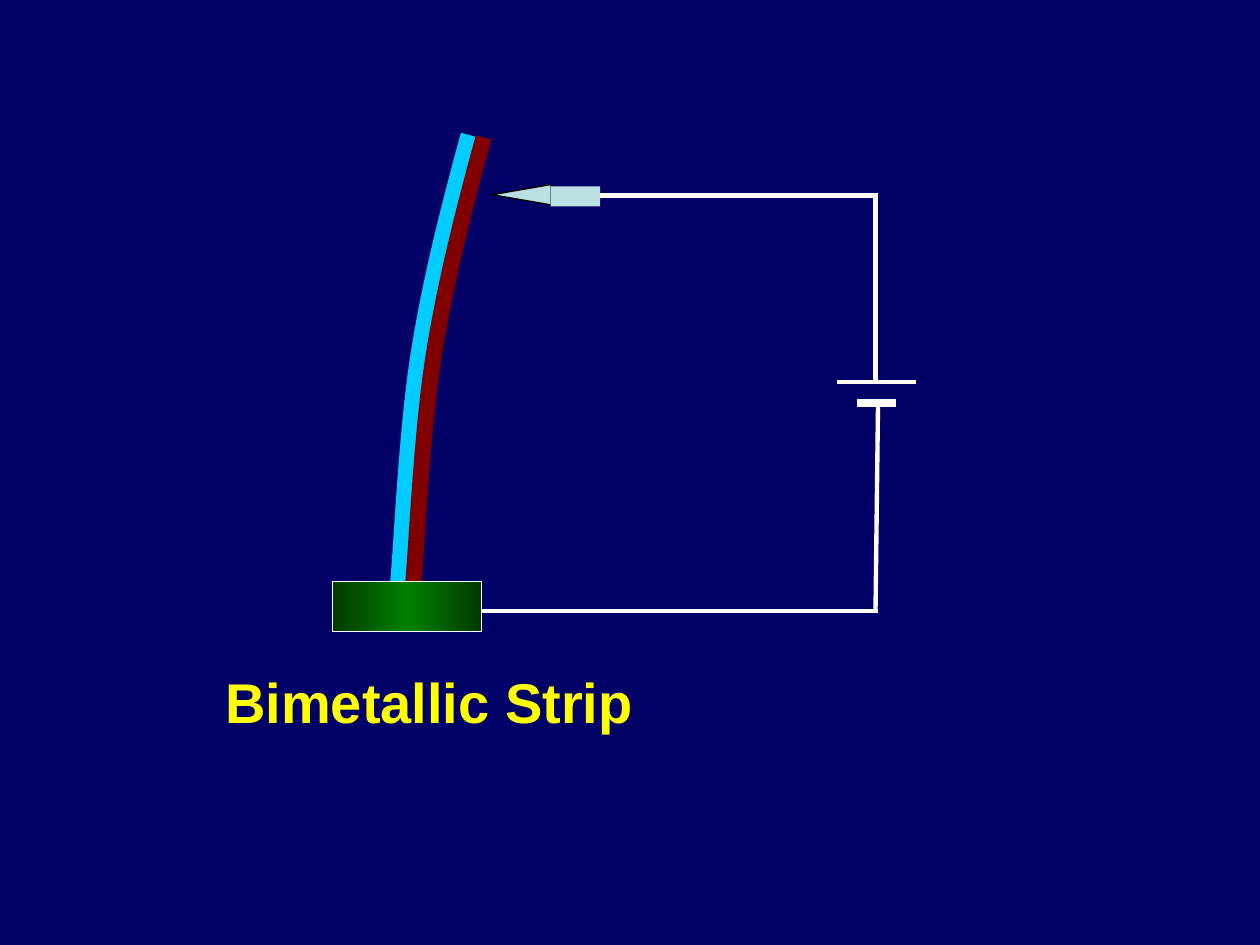
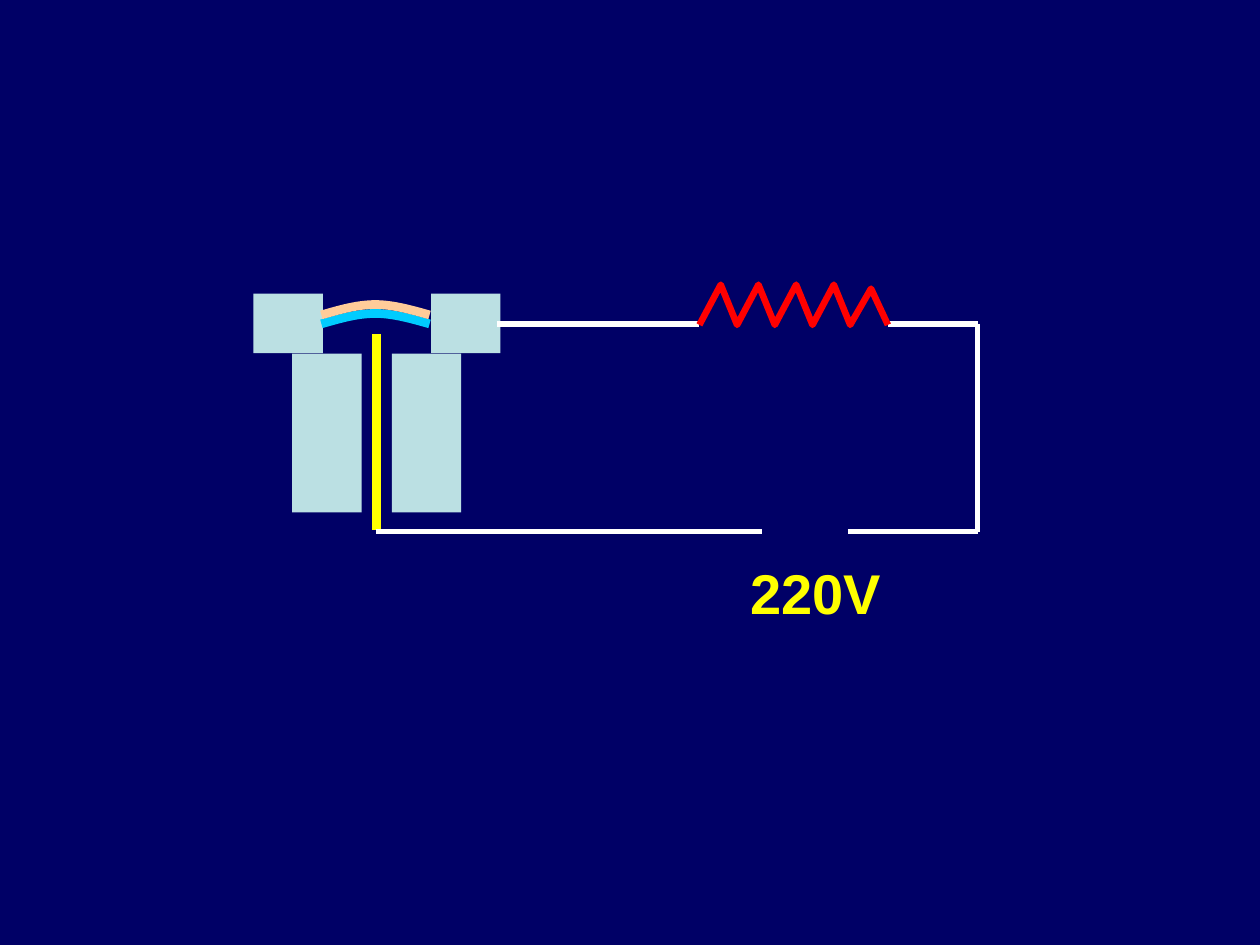
import copy
import itertools

import lxml.etree
import pptx
import pptx.dml.color
import pptx.enum.shapes
import pptx.enum.text
import pptx.oxml.ns
import pptx.util

Cm = pptx.util.Cm
Pt = pptx.util.Pt
qn = pptx.oxml.ns.qn
RECTANGLE = pptx.enum.shapes.MSO_SHAPE.RECTANGLE
TRIANGLE = pptx.enum.shapes.MSO_SHAPE.ISOSCELES_TRIANGLE
STRAIGHT = pptx.enum.shapes.MSO_CONNECTOR.STRAIGHT

COLORS = {
    "background": "000066",
    "label": "FFFF00",
    "wire": "FFFFFF",
    "metal": "BBE0E3",
    "outline": "000000",
    "cold": "00CCFF",
    "hot": "800000",
    "copper": "FFCC99",
    "resistor": "FF0000",
    "base": "008000",
    "base_edge": "003B00",
}
LABEL_FORMAT = {"name": "Arial", "size": Pt(32), "bold": True}
LABEL_FRAME = {
    "word_wrap": True,
    "auto_size": pptx.enum.text.MSO_AUTO_SIZE.SHAPE_TO_FIT_TEXT,
}


def color(name):
    return pptx.dml.color.RGBColor.from_string(COLORS[name])


def draw_path(slide, points, color_name, width, curved=False):
    corners = [(Cm(x), Cm(y)) for x, y in points]
    builder = slide.shapes.build_freeform(*corners[0], scale=1.0)
    builder.add_line_segments(corners[1:], close=False)
    shape = builder.convert_to_shape()
    shape.shadow.inherit = False
    shape.fill.background()
    shape.line.color.rgb = color(color_name)
    shape.line.width = Pt(width)
    if curved:
        outline = shape._element.find(".//" + qn("a:path"))
        segments = outline.findall(qn("a:lnTo"))
        for first in range(0, len(segments), 3):
            curve = lxml.etree.SubElement(outline, qn("a:cubicBezTo"))
            for segment in segments[first:first + 3]:
                curve.append(segment[0])
                outline.remove(segment)


presentation = pptx.Presentation()
presentation.slide_width = Cm(25.4)
presentation.slide_height = Cm(19.05)
background = presentation.slide_master.background.fill
background.solid()
background.fore_color.rgb = color("background")

blank_layout = presentation.slide_layouts[6]
strip_slide = presentation.slides.add_slide(blank_layout)
thermostat_slide = presentation.slides.add_slide(blank_layout)

strip_curve = [
    (9.45, 2.72),
    (9.04, 4.22), (8.66, 5.72), (8.43, 7.21),
    (8.2, 8.71), (8.1, 10.97), (8.03, 11.73),
]
for color_name, shift_x, shift_y in [("cold", 0, 0), ("hot", 0.3, 0.05)]:
    points = [(x + shift_x, y + shift_y) for x, y in strip_curve]
    draw_path(strip_slide, points, color_name, 9.25, curved=True)

blocks = [
    (strip_slide, TRIANGLE, (10.31, 3.33, 0.41, 1.19), 270, "metal", "outline"),
    (strip_slide, RECTANGLE, (11.1, 3.76, 1, 0.4), 0, "metal", None),
    (strip_slide, RECTANGLE, (6.71, 11.73, 3, 1), 0, "base", "wire"),
]
for left, top, height in [(5.11, 5.92, 1.2), (8.69, 5.92, 1.2), (5.89, 7.13, 3.2), (7.9, 7.13, 3.2)]:
    blocks.append((thermostat_slide, RECTANGLE, (left, top, 1.4, height), 0, "metal", None))

for slide, kind, box, rotation, fill_name, line_name in blocks:
    shape = slide.shapes.add_shape(kind, *map(Cm, box))
    shape.shadow.inherit = False
    shape.rotation = rotation
    if fill_name == "base":
        shape.fill.gradient()
        shape.fill.gradient_angle = 0
        stop_list = shape._element.find(".//" + qn("a:gsLst"))
        stop_list.append(copy.deepcopy(stop_list[-1]))
        gradient = [(0, "base_edge"), (0.5, "base"), (1, "base_edge")]
        for stop, (position, stop_color) in zip(shape.fill.gradient_stops, gradient):
            stop.position = position
            stop.color.rgb = color(stop_color)
    else:
        shape.fill.solid()
        shape.fill.fore_color.rgb = color(fill_name)
    if line_name:
        shape.line.color.rgb = color(line_name)
        shape.line.width = Pt(0.75)
    else:
        shape.line.fill.background()

wires = [
    (strip_slide, (12.09, 3.94, 17.7, 3.94), "wire", 2.5),
    (strip_slide, (9.7, 12.32, 17.7, 12.32), "wire", 2.5),
    (strip_slide, (17.7, 8.13, 17.65, 12.32), "wire", 2.5),
    (strip_slide, (17.65, 3.89, 17.65, 7.7), "wire", 2.5),
    (strip_slide, (16.87, 7.7, 18.47, 7.7), "wire", 2),
    (strip_slide, (17.27, 8.13, 18.06, 8.13), "wire", 4.5),
    (thermostat_slide, (7.59, 6.73, 7.59, 10.69), "label", 5.25),
    (thermostat_slide, (10.01, 6.53, 14.1, 6.53), "wire", 3),
    (thermostat_slide, (7.57, 10.72, 15.37, 10.72), "wire", 3),
    (thermostat_slide, (17.91, 6.53, 19.71, 6.53), "wire", 3),
    (thermostat_slide, (19.71, 10.72, 19.71, 6.53), "wire", 3),
    (thermostat_slide, (17.09, 10.72, 19.71, 10.72), "wire", 3),
]
for slide, ends, color_name, width in wires:
    connector = slide.shapes.add_connector(STRAIGHT, *map(Cm, ends))
    connector.line.color.rgb = color(color_name)
    connector.line.width = Pt(width)
    lxml.etree.SubElement(connector._element.spPr, qn("a:effectLst"))

valleys = [(14.1 + 0.76 * index, 6.55) for index in range(6)]
peaks = [(x + 0.43, 5.74) for x, y in valleys[:4]] + [(17.56, 5.82)]
zigzag = list(itertools.chain.from_iterable(zip(valleys, peaks))) + valleys[-1:]
draw_path(thermostat_slide, zigzag, "resistor", 3.75)

disc_curve = [
    (6.48, 6.53),
    (6.83, 6.43), (7.19, 6.32), (7.57, 6.32),
    (7.92, 6.32), (8.31, 6.43), (8.66, 6.53),
]
for color_name, rise in [("cold", 0), ("copper", 0.18)]:
    points = [(x, y - rise) for x, y in disc_curve]
    draw_path(thermostat_slide, points, color_name, 5, curved=True)

labels = [
    (strip_slide, "Bimetallic Strip", (4.29, 13.34, 9.6, 1.63)),
    (thermostat_slide, "220V", (14.88, 11.13, 3.4, 1.63)),
]
for slide, text, box in labels:
    text_frame = slide.shapes.add_textbox(*map(Cm, box)).text_frame
    for name, value in LABEL_FRAME.items():
        setattr(text_frame, name, value)
    paragraph = text_frame.paragraphs[0]
    run = paragraph.add_run()
    run.text = text
    for name, value in LABEL_FORMAT.items():
        setattr(run.font, name, value)
    run.font.color.rgb = color("label")

presentation.save("out.pptx")
